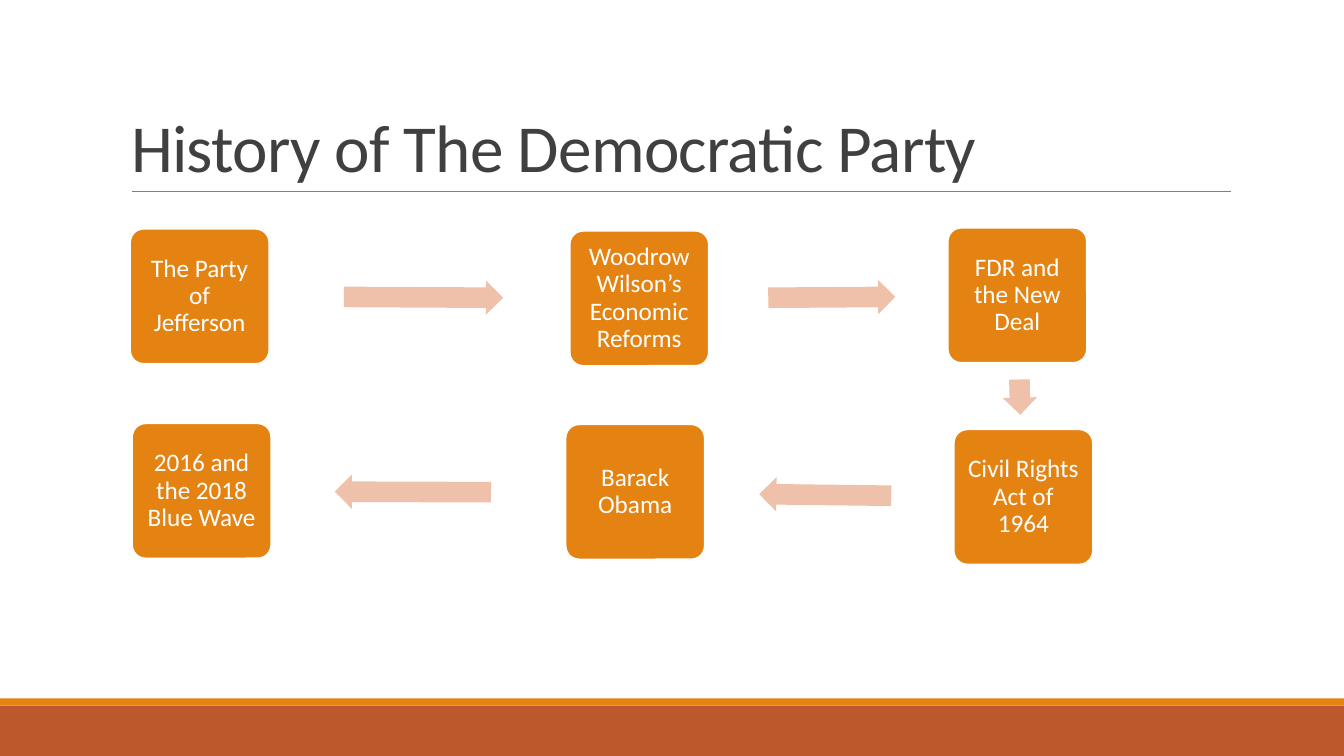
from pptx import Presentation
from pptx.dml.color import RGBColor
from pptx.enum import shapes, text
from pptx.util import Inches, Pt

COLORS = {
    "orange": "E48312",
    "rust": "BD582C",
    "arrow": "EFC1AB",
    "rule": "808080",
    "title": "404040",
    "white": "FFFFFF",
}
SLIDE_WIDTH, SLIDE_HEIGHT = 13.33, 7.5
STEP_WIDTH, STEP_HEIGHT = 1.38, 1.34
ARROW_HEIGHT = 0.34

STEPS = [
    ("The Party of Jefferson", 1.29, 2.27),
    ("Woodrow Wilson’s Economic Reforms", 5.65, 2.29),
    ("FDR and the New Deal", 9.4, 2.26),
    ("Civil Rights Act of 1964", 9.46, 4.26),
    ("Barack Obama", 5.61, 4.21),
    ("2016 and the 2018 Blue Wave", 1.31, 4.2),
]
ARROWS = [
    (3.41, 2.78, 1.58, 0.3),
    (7.62, 2.78, 1.26, 359.6),
    (9.94, 3.77, 0.35, 88.4),
    (7.53, 4.74, 1.31, 180.7),
    (3.32, 4.71, 1.55, 180.2),
]


def color(name):
    return RGBColor.from_string(COLORS[name])


def write_text(frame, content, *, size, fill, align, anchor, line_spacing, margins, spacing=0):
    frame.word_wrap = True
    frame.auto_size = text.MSO_AUTO_SIZE.NONE
    frame.vertical_anchor = anchor
    frame.margin_left = frame.margin_right = Inches(margins[0])
    frame.margin_top = frame.margin_bottom = Inches(margins[1])
    paragraph = frame.paragraphs[0]
    paragraph.alignment = align
    paragraph.line_spacing = line_spacing
    paragraph.space_before = Pt(0)
    run = paragraph.add_run()
    run.text = content
    run.font.name = "Calibri"
    run.font.size = Pt(size)
    run.font.color.rgb = color(fill)
    if spacing:
        run.font._element.set("spc", str(round(spacing * 100)))


def add_filled(slide, kind, box, fill):
    shape = slide.shapes.add_shape(kind, *map(Inches, box))
    shape.shadow.inherit = False
    shape.fill.solid()
    shape.fill.fore_color.rgb = color(fill)
    shape.line.fill.background()
    return shape


def add_footer_bands(slide, top, stripe_height=0.07):
    rectangle = shapes.MSO_SHAPE.RECTANGLE
    base_top = top + stripe_height
    add_filled(slide, rectangle, (0, base_top, SLIDE_WIDTH, SLIDE_HEIGHT - base_top), "rust")
    add_filled(slide, rectangle, (0, top, SLIDE_WIDTH, stripe_height), "orange")


def add_title(slide, content, left, top, width, height):
    title = slide.shapes.title
    title.left, title.top, title.width, title.height = map(Inches, (left, top, width, height))
    write_text(title.text_frame, content, size=48, fill="title", align=text.PP_ALIGN.LEFT,
               anchor=text.MSO_ANCHOR.BOTTOM, line_spacing=0.85, margins=(0.1, 0.05), spacing=-0.5)
    bottom = Inches(top + height)
    rule = slide.shapes.add_connector(shapes.MSO_CONNECTOR.STRAIGHT, Inches(left + 0.11), bottom,
                                      Inches(left + width + 0.01), bottom)
    rule.line.color.rgb = color("rule")
    rule.line.width = Pt(0.5)
    properties = rule._element.spPr
    properties.append(properties.makeelement(
        "{http://schemas.openxmlformats.org/drawingml/2006/main}effectLst", {}))


def add_step(slide, content, left, top):
    box = (left, top, STEP_WIDTH, STEP_HEIGHT)
    step = add_filled(slide, shapes.MSO_SHAPE.ROUNDED_RECTANGLE, box, "orange")
    step.adjustments[0] = 0.1
    step.line.color.rgb = color("white")
    step.line.width = Pt(1.25)
    write_text(step.text_frame, content, size=18, fill="white", align=text.PP_ALIGN.CENTER,
               anchor=text.MSO_ANCHOR.MIDDLE, line_spacing=0.9, margins=(0.07, 0.07))


def add_arrow(slide, left, top, width, rotation):
    box = (left, top, width, ARROW_HEIGHT)
    arrow = add_filled(slide, shapes.MSO_SHAPE.RIGHT_ARROW, box, "arrow")
    arrow.adjustments[0] = 0.6
    arrow.adjustments[1] = 0.5
    arrow.rotation = rotation


def main():
    presentation = Presentation()
    presentation.slide_width = Inches(SLIDE_WIDTH)
    presentation.slide_height = Inches(SLIDE_HEIGHT)
    slide = presentation.slides.add_slide(presentation.slide_layouts.get_by_name("Title Only"))
    add_footer_bands(slide, 6.93)
    add_title(slide, "History of The Democratic Party", 1.2, 0.31, 11, 1.59)
    for step in STEPS:
        add_step(slide, *step)
    for arrow in ARROWS:
        add_arrow(slide, *arrow)
    presentation.save("out.pptx")


if __name__ == "__main__":
    main()
